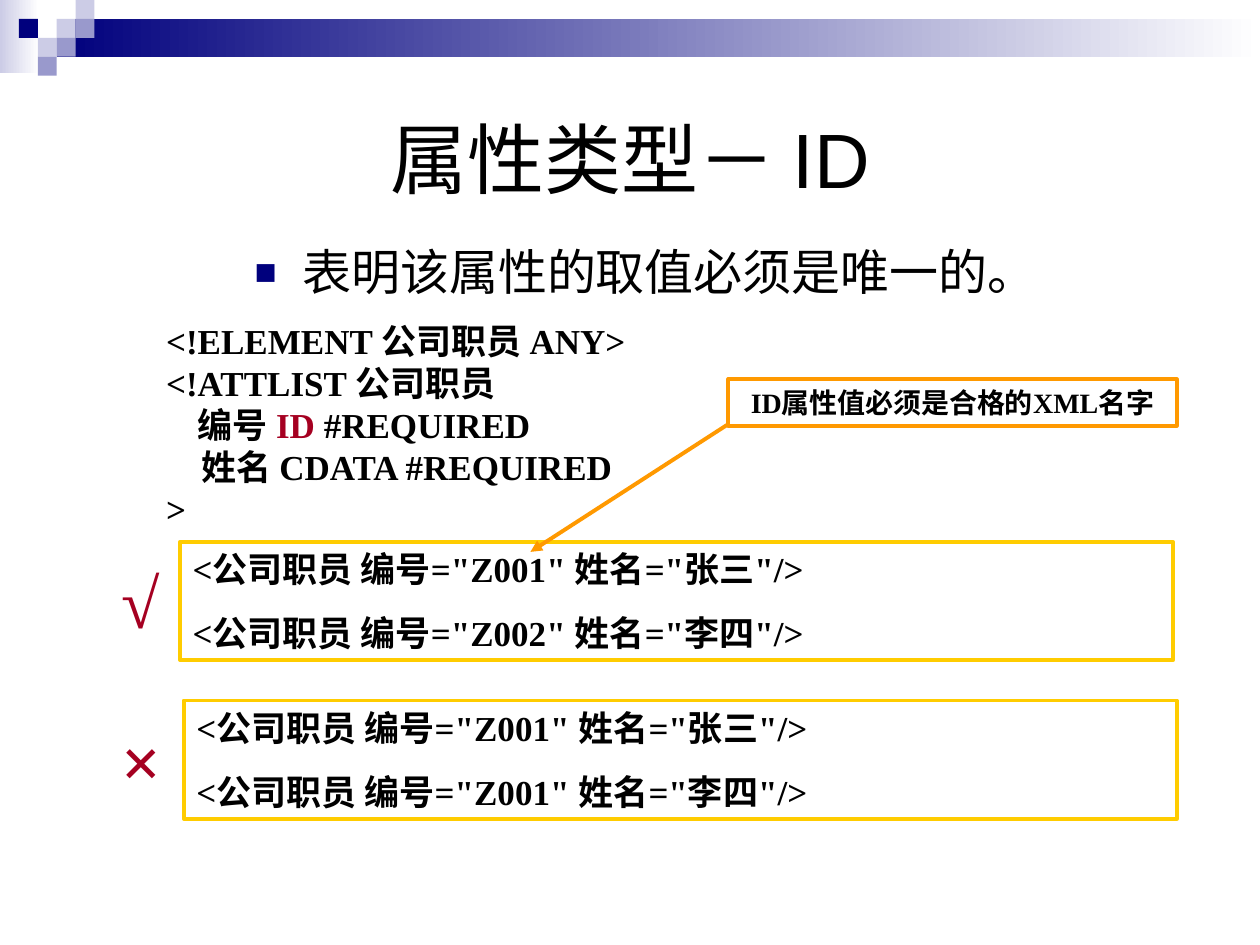
from lxml import etree
from pptx import Presentation
from pptx.dml.color import RGBColor
from pptx.enum import shapes, text
from pptx.oxml import ns
from pptx.util import Inches, Pt

COLORS = {
    "white": "FFFFFF", "black": "000000", "navy": "00007D", "lilac": "CCCCE6",
    "violet": "9999CC", "red": "A50021", "yellow": "FFCC00", "orange": "FF9900",
}
SERIF = "Times New Roman"
SANS = "Arial"
CELL = 0.15
# column, row and colour of each square in the corner mosaic
MOSAIC = [
    (3, 1, "lilac"), (4, 0, "lilac"), (4, 1, "violet"), (2, 2, "lilac"),
    (1, 1, "navy"), (3, 2, "violet"), (2, 3, "violet"),
]


def rgb(name):
    return RGBColor.from_string(COLORS[name])


def place(shape, left, top, width, height):
    shape.left, shape.top = Inches(left), Inches(top)
    shape.width, shape.height = Inches(width), Inches(height)


def style(font, name, size, color="black", bold=False):
    font.name, font.size, font.bold = name, Pt(size), bold
    font.color.rgb = rgb(color)


def add_rectangle(slide, left, top, width, height):
    box = slide.shapes.add_shape(
        shapes.MSO_SHAPE.RECTANGLE, Inches(left), Inches(top), Inches(width), Inches(height))
    box.shadow.inherit = False
    return box


def add_square(slide, column, row, color):
    square = add_rectangle(slide, column * CELL, row * CELL, CELL, CELL)
    square.fill.solid()
    square.fill.fore_color.rgb = rgb(color)
    square.line.fill.background()


def add_gradient_bar(slide, left, top, width, height, color):
    """Add a bar that fades from the colour at its left to white."""
    bar = add_rectangle(slide, left, top, width, height)
    bar.fill.gradient()
    bar.fill.gradient_angle = 0
    for stop, name in zip(bar.fill.gradient_stops, (color, "white")):
        stop.color.rgb = rgb(name)
    bar.line.fill.background()


def add_bullet(para):
    properties = para._p.get_or_add_pPr()
    properties.set("marL", str(Inches(0.38)))
    properties.set("indent", str(Inches(-0.38)))
    color = etree.SubElement(properties, ns.qn("a:buClr"))
    etree.SubElement(color, ns.qn("a:srgbClr"), val=COLORS["navy"])
    etree.SubElement(properties, ns.qn("a:buSzPct"), val="75000")
    etree.SubElement(properties, ns.qn("a:buFont"), typeface=SANS)
    etree.SubElement(properties, ns.qn("a:buChar"), char="■")


def fill_title(slide, wording):
    title = slide.shapes.title
    place(title, 0.5, 0.5, 9, 1.5)
    para = title.text_frame.paragraphs[0]
    para.text = wording
    para.alignment = text.PP_ALIGN.CENTER
    style(para.runs[0].font, SANS, 44)


def fill_body(slide, wording):
    body = slide.placeholders[1]
    place(body, 1.92, 1.92, 7.69, 0.55)
    para = body.text_frame.paragraphs[0]
    para.text = wording
    add_bullet(para)
    para.line_spacing = 0.9
    para.space_before = Pt(0)
    style(para.runs[0].font, SANS, 28)


def add_declaration(slide, lines):
    """Add the DTD code; each line is a list of (wording, colour) spans."""
    box = slide.shapes.add_textbox(Inches(1.22), Inches(2.49), Inches(7.88), Inches(1.77))
    box.text_frame.word_wrap = True
    para = box.text_frame.paragraphs[0]
    for number, spans in enumerate(lines):
        if number:
            para.add_line_break()
        for wording, color in spans:
            span = para.add_run()
            span.text = wording
            style(span.font, SERIF, 20, color, bold=True)


def add_framed_text(slide, area, lines, size, color, centred=False):
    box = add_rectangle(slide, *area)
    box.fill.background()
    box.line.color.rgb = rgb(color)
    box.line.width = Pt(2.25)
    frame = box.text_frame
    frame.word_wrap = not centred
    frame.vertical_anchor = text.MSO_ANCHOR.MIDDLE if centred else text.MSO_ANCHOR.TOP
    frame.text = "\n".join(lines)
    for number, para in enumerate(frame.paragraphs):
        para.alignment = text.PP_ALIGN.CENTER if centred else text.PP_ALIGN.LEFT
        if number:
            para.space_before = Pt(12.5)
        style(para.runs[0].font, SERIF, size, bold=True)


def add_mark(slide, top, symbol):
    box = slide.shapes.add_textbox(Inches(0.87), Inches(top), Inches(0.5), Inches(0.77))
    frame = box.text_frame
    frame.word_wrap = False
    frame.vertical_anchor = text.MSO_ANCHOR.MIDDLE
    para = frame.paragraphs[0]
    para.text = symbol
    para.alignment = text.PP_ALIGN.CENTER
    style(para.runs[0].font, SERIF, 40, "red", bold=True)


def add_arrow(slide, start, end, color):
    arrow = slide.shapes.add_connector(
        shapes.MSO_CONNECTOR.STRAIGHT, *map(Inches, start + end))
    arrow.line.color.rgb = rgb(color)
    arrow.line.width = Pt(2.25)
    etree.SubElement(arrow.line._get_or_add_ln(), ns.qn("a:tailEnd"), type="triangle")
    etree.SubElement(arrow._element.spPr, ns.qn("a:effectLst"))


def employees(*records):
    return [f'<公司职员 编号="{number}" 姓名="{name}"/>' for number, name in records]


def main():
    deck = Presentation()
    deck.slide_width, deck.slide_height = Inches(10), Inches(7.5)
    slide = deck.slides.add_slide(deck.slide_layouts[1])

    add_gradient_bar(slide, 0, 0, 0.31, 0.58, "lilac")
    add_gradient_bar(slide, 0.45, 0.15, 9.55, 0.3, "navy")
    for column, row, color in MOSAIC:
        add_square(slide, column, row, color)

    fill_title(slide, "属性类型－ ID")
    fill_body(slide, "表明该属性的取值必须是唯一的。")
    add_declaration(slide, [
        [("<!ELEMENT 公司职员 ANY>", "black")],
        [("<!ATTLIST 公司职员", "black")],
        [("    编号 ", "black"), ("ID", "red"), (" #REQUIRED", "black")],
        [("    姓名 CDATA #REQUIRED", "black")],
        [(">", "black")],
    ])

    valid = employees(("Z001", "张三"), ("Z002", "李四"))
    invalid = employees(("Z001", "张三"), ("Z001", "李四"))
    add_framed_text(slide, (1.43, 4.3, 7.88, 0.94), valid, 20, "yellow")
    add_framed_text(slide, (1.46, 5.56, 7.88, 0.94), invalid, 20, "yellow")
    add_mark(slide, 4.38, "√")
    add_mark(slide, 5.64, "×")

    add_framed_text(slide, (5.78, 3.01, 3.56, 0.37), ["ID属性值必须是合格的XML名字"],
                    16, "orange", centred=True)
    add_arrow(slide, (5.79, 3.36), (4.21, 4.38), "orange")
    deck.save("out.pptx")


if __name__ == "__main__":
    main()
